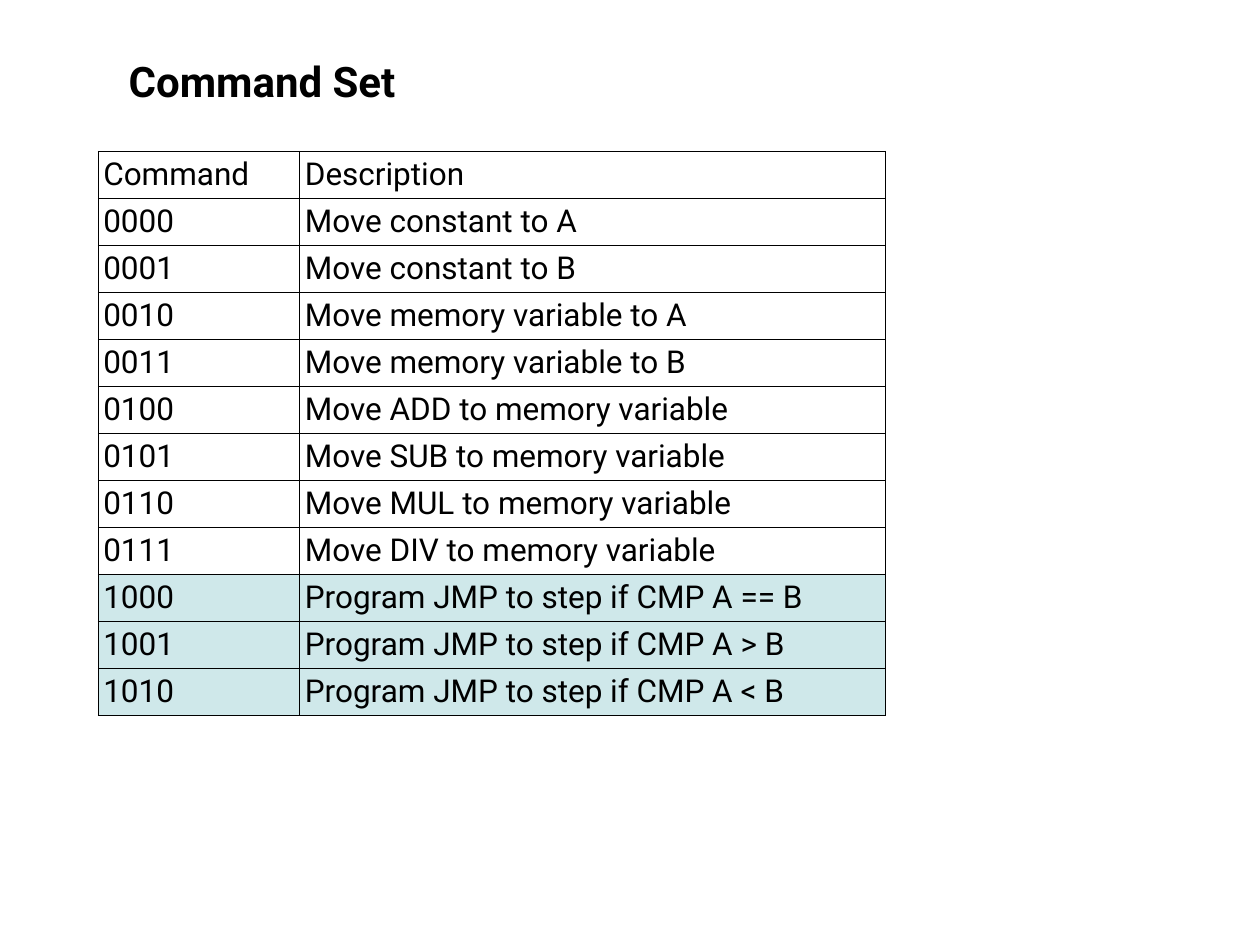
"""Build the Command Set slide: a title above a table of command codes."""
from lxml import etree
from pptx import Presentation
from pptx.dml.color import RGBColor
from pptx.enum.text import MSO_ANCHOR, PP_ALIGN
from pptx.oxml.ns import qn
from pptx.util import Inches, Pt

MIDDLE = MSO_ANCHOR.MIDDLE
LEFT, CENTER = PP_ALIGN.LEFT, PP_ALIGN.CENTER

THEME = {
    "font": "Roboto",
    "ink": "000000",
    "highlight": "CFE8EA",
    "title": 24,
    "body": 18,
    "border": 0.5,
}

COLUMNS = [1.6, 4.65]
ROW_HEIGHT = 0.35
INSET = Inches(0.04)
ROWS = [
    ("Command", "Description"),
    ("0000", "Move constant to A"),
    ("0001", "Move constant to B"),
    ("0010", "Move memory variable to A"),
    ("0011", "Move memory variable to B"),
    ("0100", "Move ADD to memory variable"),
    ("0101", "Move SUB to memory variable"),
    ("0110", "Move MUL to memory variable"),
    ("0111", "Move DIV to memory variable"),
    ("1000", "Program JMP to step if CMP A == B"),
    ("1001", "Program JMP to step if CMP A > B"),
    ("1010", "Program JMP to step if CMP A < B"),
]


def write(tf, text, size=THEME["body"], bold=False, align=LEFT):
    """Put one formatted run into a text frame."""
    p = tf.paragraphs[0]
    p.alignment = align
    r = p.add_run()
    r.text = text
    r.font.name = THEME["font"]
    r.font.size = Pt(size)
    r.font.bold = bold
    r.font.color.rgb = RGBColor.from_string(THEME["ink"])


def add_borders(cell):
    """Draw the same thin line on all four sides of a cell."""
    tc_pr = cell._tc.get_or_add_tcPr()
    for side in ("lnL", "lnR", "lnT", "lnB"):
        ln = etree.SubElement(tc_pr, qn(f"a:{side}"), w=str(Pt(THEME["border"])))
        fill = etree.SubElement(ln, qn("a:solidFill"))
        etree.SubElement(fill, qn("a:srgbClr"), val=THEME["ink"])


prs = Presentation()
prs.slide_width, prs.slide_height = Inches(10), Inches(7.5)
s = prs.slides.add_slide(prs.slide_layouts[5])

title = s.shapes.title
title.left, title.top = Inches(0.55), Inches(0.39)
title.width, title.height = Inches(3.06), Inches(0.5)
title.text_frame.vertical_anchor = MIDDLE
write(title.text_frame, "Command Set", size=THEME["title"], bold=True, align=CENTER)

table = s.shapes.add_table(
    len(ROWS), len(COLUMNS), Inches(0.78), Inches(1.2),
    Inches(sum(COLUMNS)), Inches(ROW_HEIGHT * len(ROWS)),
).table
table.first_row = table.horz_banding = False
for column, width in zip(table.columns, COLUMNS):
    column.width = Inches(width)

for row, texts in zip(table.rows, ROWS):
    row.height = Inches(ROW_HEIGHT)
    is_jump = texts[1].startswith("Program JMP")
    for cell, text in zip(row.cells, texts):
        cell.margin_left = cell.margin_right = INSET
        cell.margin_top = cell.margin_bottom = INSET
        cell.vertical_anchor = MIDDLE
        add_borders(cell)
        if is_jump:
            cell.fill.solid()
            cell.fill.fore_color.rgb = RGBColor.from_string(THEME["highlight"])
        else:
            cell.fill.background()
        write(cell.text_frame, text)

prs.save("out.pptx")
